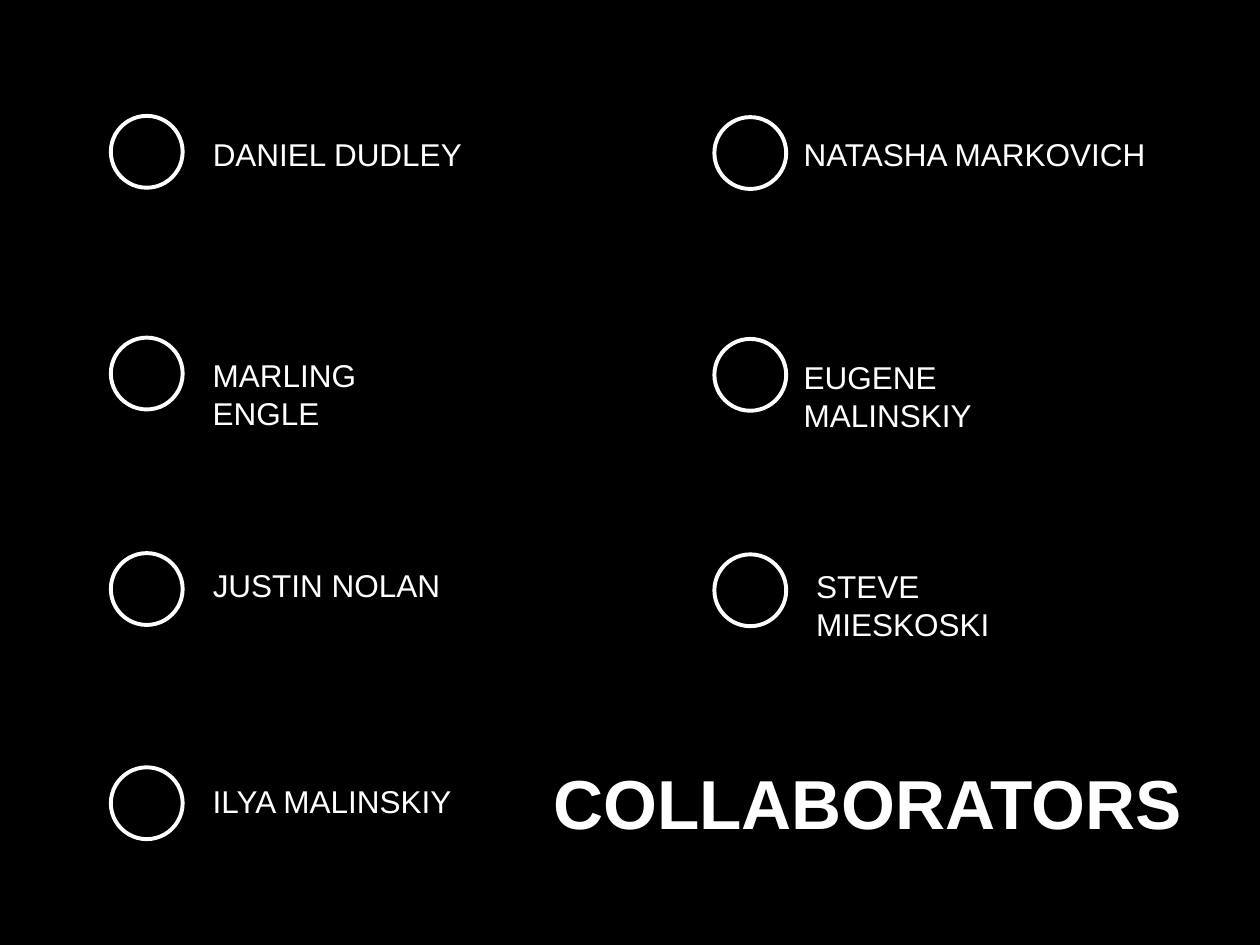
from pptx import Presentation
from pptx.dml.color import RGBColor
from pptx.enum.shapes import MSO_SHAPE
from pptx.enum.text import MSO_ANCHOR, PP_ALIGN
from pptx.util import Inches, Pt

COLUMNS, ROWS = 100, 75
BLACK, WHITE = "000000", "FFFFFF"


def colour(value):
    return RGBColor.from_string(value)


class Deck:
    body = {"name": "Arial", "size": Pt(18), "bold": False}
    heading = {"name": "Arial", "size": Pt(39.6), "bold": True}

    def __init__(self):
        self.deck = Presentation()
        self.deck.slide_width, self.deck.slide_height = Inches(10), Inches(7.5)
        self.slide = self.deck.slides.add_slide(self.deck.slide_layouts[6])

    def place(self, column, row, columns, rows):
        across = self.deck.slide_width / COLUMNS
        down = self.deck.slide_height / ROWS
        return [round(n) for n in (column * across, row * down, columns * across, rows * down)]

    def shape(self, preset, area, fill=None, line=None):
        shape = self.slide.shapes.add_shape(preset, *self.place(*area))
        shape.shadow.inherit = False
        if fill:
            shape.fill.solid()
            shape.fill.fore_color.rgb = colour(fill)
        else:
            shape.fill.background()
        if line:
            shape.line.color.rgb = colour(line)
            shape.line.width = Pt(2.25)
        else:
            shape.line.fill.background()

    def text(self, words, area, style, anchor=MSO_ANCHOR.TOP, align=PP_ALIGN.LEFT):
        frame = self.slide.shapes.add_textbox(*self.place(*area)).text_frame
        frame.word_wrap = True
        frame.vertical_anchor = anchor
        paragraph = frame.paragraphs[0]
        paragraph.alignment = align
        run = paragraph.add_run()
        run.text = words
        for key, value in style.items():
            setattr(run.font, key, value)
        run.font.color.rgb = colour(WHITE)


RING = 5.7
RING_LEFTS = (8.8, 56.7)
RING_TOPS = (9.2, 26.8, 43.9, 60.9)
COLLABORATORS = [
    ("DANIEL DUDLEY", 0, 0, 15.9, 10.2, 33.9),
    ("NATASHA MARKOVICH", 1, 0, 62.8, 10.2, 29.6),
    ("MARLING ENGLE", 0, 1, 15.9, 27.8, 22.3),
    ("EUGENE MALINSKIY", 1, 1, 62.8, 27.9, 26.4),
    ("JUSTIN NOLAN", 0, 2, 15.9, 44.4, 20.5),
    ("STEVE MIESKOSKI", 1, 2, 63.8, 44.5, 24.3),
    ("ILYA MALINSKIY", 0, 3, 15.9, 61.6, 21.4),
]

deck = Deck()
deck.shape(MSO_SHAPE.RECTANGLE, (0, 0, COLUMNS, ROWS), fill=BLACK)
for person, side, level, left, top, width in COLLABORATORS:
    ring = (RING_LEFTS[side], RING_TOPS[level] + side * 0.1, RING, RING)
    deck.shape(MSO_SHAPE.OVAL, ring, line=WHITE)
    deck.text(person, (left, top, width, 4), deck.body)
deck.text("COLLABORATORS", (4.8, 60.1, 90, 7), deck.heading, MSO_ANCHOR.MIDDLE, PP_ALIGN.RIGHT)
deck.deck.save("out.pptx")
